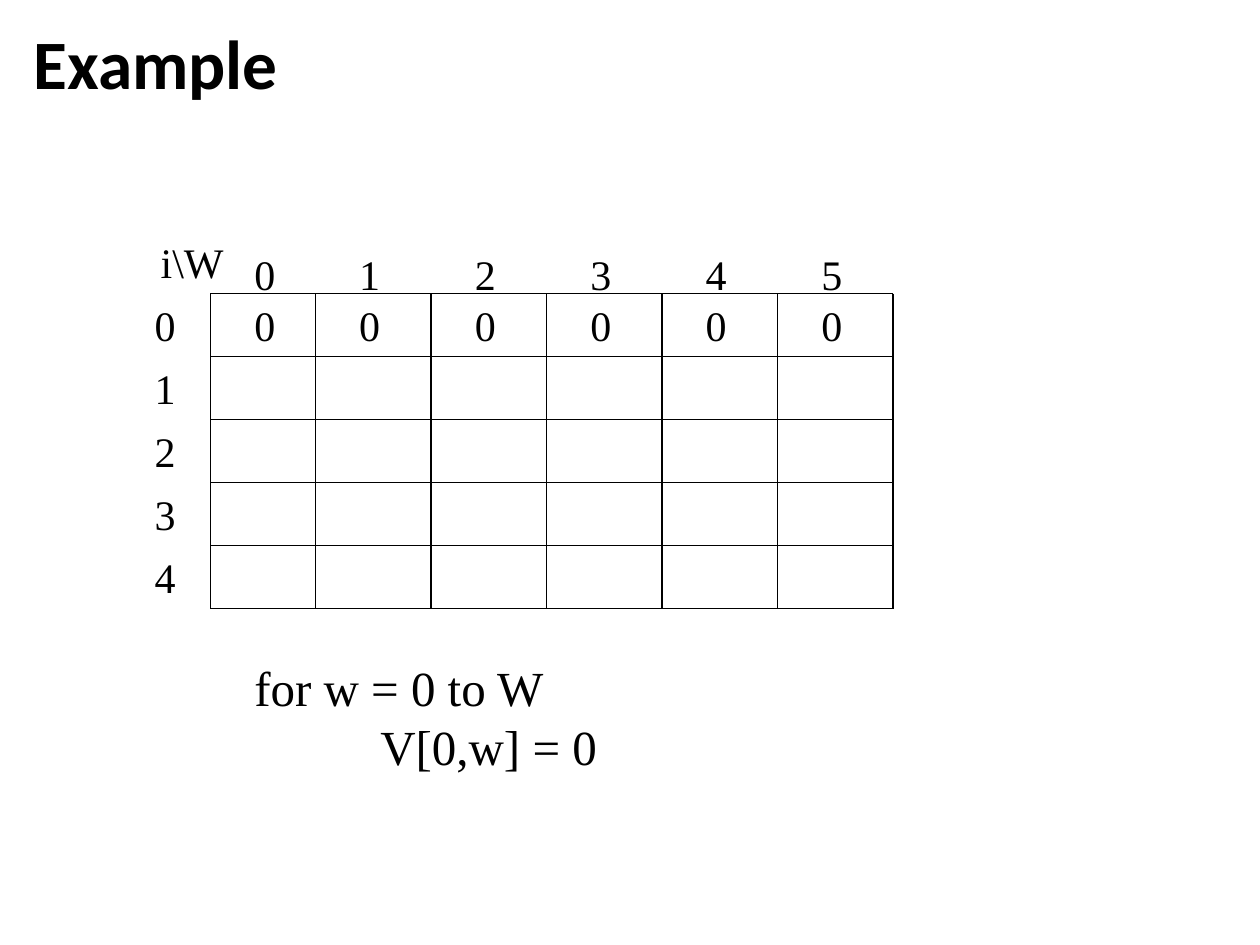
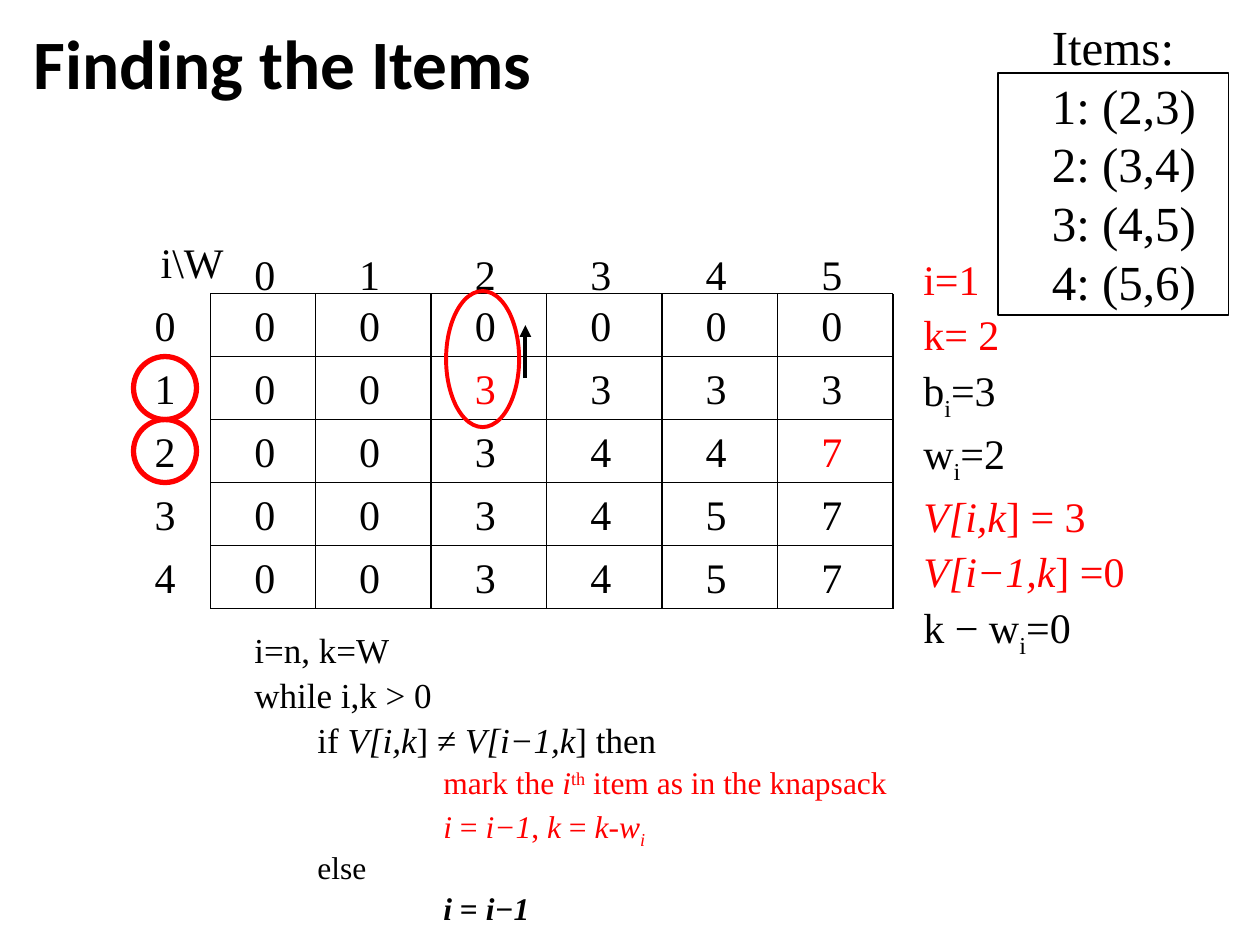
from lxml import etree
from pptx import Presentation
from pptx.dml.color import RGBColor
from pptx.enum.shapes import MSO_CONNECTOR, MSO_SHAPE
from pptx.enum.text import MSO_ANCHOR, PP_ALIGN
from pptx.oxml.ns import qn
from pptx.util import Inches, Pt

CENTER, LEFT = PP_ALIGN.CENTER, PP_ALIGN.LEFT
TOP, MIDDLE = MSO_ANCHOR.TOP, MSO_ANCHOR.MIDDLE
STRAIGHT = MSO_CONNECTOR.STRAIGHT
RECTANGLE, OVAL = MSO_SHAPE.RECTANGLE, MSO_SHAPE.OVAL

COLORS = {"black": "000000", "red": "FF0000"}
BODY_FONT, TITLE_FONT = "Times New Roman", "Calibri"

CAPACITIES = "012345"
ITEM_ROWS = "01234"
INITIAL_VALUES = ["000000"]
FINAL_VALUES = ["000000", "003333", "003447", "003457", "003457"]
TRACED_CELLS = {(1, 2), (2, 5)}

INITIAL_CODE = [
    (0, 28, [("for w = 0 to W", "")]),
    (1, 28, [("V[0,w] = 0", "")]),
]
ITEMS = [(0, 28, [(line, "")]) for line in
         ["Items:", "1: (2,3)", "2: (3,4)", "3: (4,5)", "4: (5,6)"]]
TRACE = [
    (0, 24, [("i=1", "r")]),
    (0, 24, [("k= 2", "r")]),
    (0, 24, [("b", ""), ("i", "_"), ("=3", "")]),
    (0, 24, [("w", ""), ("i", "_"), ("=2", "")]),
    (0, 24, [("V[i,k", "ri"), ("] = 3", "r")]),
    (0, 24, [("V[i−1,k", "ri"), ("] =0", "r")]),
    (0, 24, [("k − w", ""), ("i", "_"), ("=0", "")]),
]
SEARCH_CODE = [
    (0, 20, [("i=n, k=W", "")]),
    (0, 20, [("while i,k > 0", "")]),
    (0.5, 20, [("if ", ""), ("V[i,k", "i"), ("] ≠ ", ""),
               ("V[i−1,k", "i"), ("] then", "")]),
    (1.5, 18, [("mark the ", "r"), ("i", "ri"), ("th", "r^"),
               (" item as in the knapsack", "r")]),
    (1.5, 18, [("i ", "ri"), ("= ", "r"), ("i−1", "ri"), (", ", "r"),
               ("k", "ri"), (" = ", "r"), ("k-w", "ri"), ("i", "ri_")]),
    (0.5, 18, [("else", "")]),
    (1.5, 18, [("i ", "bi"), ("= ", "b"), ("i−1", "bi")]),
]

GRID_LEFT, GRID_TOP, ROW_HEIGHT = 1.67, 2.33, 0.5
FIRST_WIDTH, COLUMN_WIDTH = 5 / 6, 11 / 12
COLUMN_LINES = [GRID_LEFT] + [GRID_LEFT + FIRST_WIDTH + n * COLUMN_WIDTH
                              for n in range(len(CAPACITIES))]
ROW_LINES = [GRID_TOP + n * ROW_HEIGHT for n in range(len(ITEM_ROWS) + 1)]
CELL_INDENT = 0.25
ROW_LABEL_LEFT, HEADER_TOP = 1.13, 1.92
LABEL_SIZE = (0.37, 0.5)
BASELINES = {"_": "-25000", "^": "30000"}


def rgb(name):
    return RGBColor.from_string(COLORS[name])


def box_inches(box):
    return [Inches(length) for length in box]


def add_text(slide, box, paragraphs, wrap=True, align=LEFT, anchor=TOP,
             spacing=None, space_before=0, font_name=BODY_FONT):
    frame = slide.shapes.add_textbox(*box_inches(box)).text_frame
    frame.word_wrap, frame.vertical_anchor = wrap, anchor
    for index, (indent, size, runs) in enumerate(paragraphs):
        paragraph = frame.add_paragraph() if index else frame.paragraphs[0]
        paragraph.alignment = align
        if indent:
            paragraph._p.get_or_add_pPr().set("marL", str(Inches(indent)))
        if spacing:
            paragraph.line_spacing = spacing
        if index and space_before:
            paragraph.space_before = Pt(round(size * space_before, 1))
        for text, style in runs:
            run = paragraph.add_run()
            run.text = text
            font = run.font
            font.name, font.size = font_name, Pt(size)
            font.bold, font.italic = "b" in style, "i" in style
            font.color.rgb = rgb("red" if "r" in style else "black")
            for mark in set(style) & set(BASELINES):
                run._r.get_or_add_rPr().set("baseline", BASELINES[mark])


def add_label(slide, left, top, text, style=""):
    add_text(slide, (left, top, *LABEL_SIZE), [(0, 24, [(text, style)])], wrap=False)


def add_line(slide, start, end, width=0.75, arrow=False):
    line = slide.shapes.add_connector(STRAIGHT, *box_inches(start + end))
    line.line.color.rgb = rgb("black")
    line.line.width = Pt(width)
    if arrow:
        etree.SubElement(line.line._get_or_add_ln(), qn("a:tailEnd"), type="triangle")
    etree.SubElement(line._element.spPr, qn("a:effectLst"))


def add_value_grid(slide, values, traced):
    for x in COLUMN_LINES:
        add_line(slide, (x, ROW_LINES[0]), (x, ROW_LINES[-1]))
    for y in ROW_LINES:
        add_line(slide, (COLUMN_LINES[0], y), (COLUMN_LINES[-1], y))
    for x, capacity in zip(COLUMN_LINES, CAPACITIES):
        add_label(slide, x + CELL_INDENT, HEADER_TOP, capacity)
    for y, item in zip(ROW_LINES, ITEM_ROWS):
        add_label(slide, ROW_LABEL_LEFT, y, item)
    for row, row_values in enumerate(values):
        for column, value in enumerate(row_values):
            style = "r" if (row, column) in traced else ""
            add_label(slide, COLUMN_LINES[column] + CELL_INDENT, ROW_LINES[row],
                      value, style)
    add_text(slide, (1.15, 1.83, 0.75, 0.5), [(0, 24, [("i\\W", "")])], align=CENTER)


def add_outline(slide, kind, box, color, width):
    shape = slide.shapes.add_shape(kind, *box_inches(box))
    shape.shadow.inherit = False
    shape.fill.background()
    shape.line.color.rgb = rgb(color)
    shape.line.width = Pt(width)


def add_slide(presentation, title, values, traced=()):
    slide = presentation.slides.add_slide(presentation.slide_layouts[6])
    add_text(slide, (0.17, 0.16, 9.62, 0.74), [(0, 39.6, [(title, "b")])],
             anchor=MIDDLE, spacing=0.9, font_name=TITLE_FONT)
    add_value_grid(slide, values, traced)
    return slide


def main():
    presentation = Presentation()
    presentation.slide_width, presentation.slide_height = Inches(10), Inches(7.5)

    example = add_slide(presentation, "Example", INITIAL_VALUES)
    add_text(example, (1.92, 5.17, 3.75, 1.03), INITIAL_CODE)

    finding = add_slide(presentation, "Finding the Items", FINAL_VALUES, TRACED_CELLS)
    add_text(finding, (8.25, 0.08, 1.44, 2.44), ITEMS, wrap=False)
    add_outline(finding, RECTANGLE, (7.92, 0.58, 1.83, 1.92), "black", 0.75)
    add_text(finding, (7.23, 1.92, 1.94, 3.18), TRACE, spacing=1.1)
    add_text(finding, (1.92, 4.98, 7.58, 2.46), SEARCH_CODE,
             spacing=0.9, space_before=0.2)
    for chosen_row in (1, 2):
        add_outline(finding, OVAL, (1.06, ROW_LINES[chosen_row], 0.5, 0.5), "red", 3)
    add_outline(finding, OVAL, (3.54, 2.31, 0.58, 1.08), "red", 2.25)
    add_line(finding, (4.17, 3), (4.17, 2.58), width=2.25, arrow=True)

    presentation.save("out.pptx")


if __name__ == "__main__":
    main()
